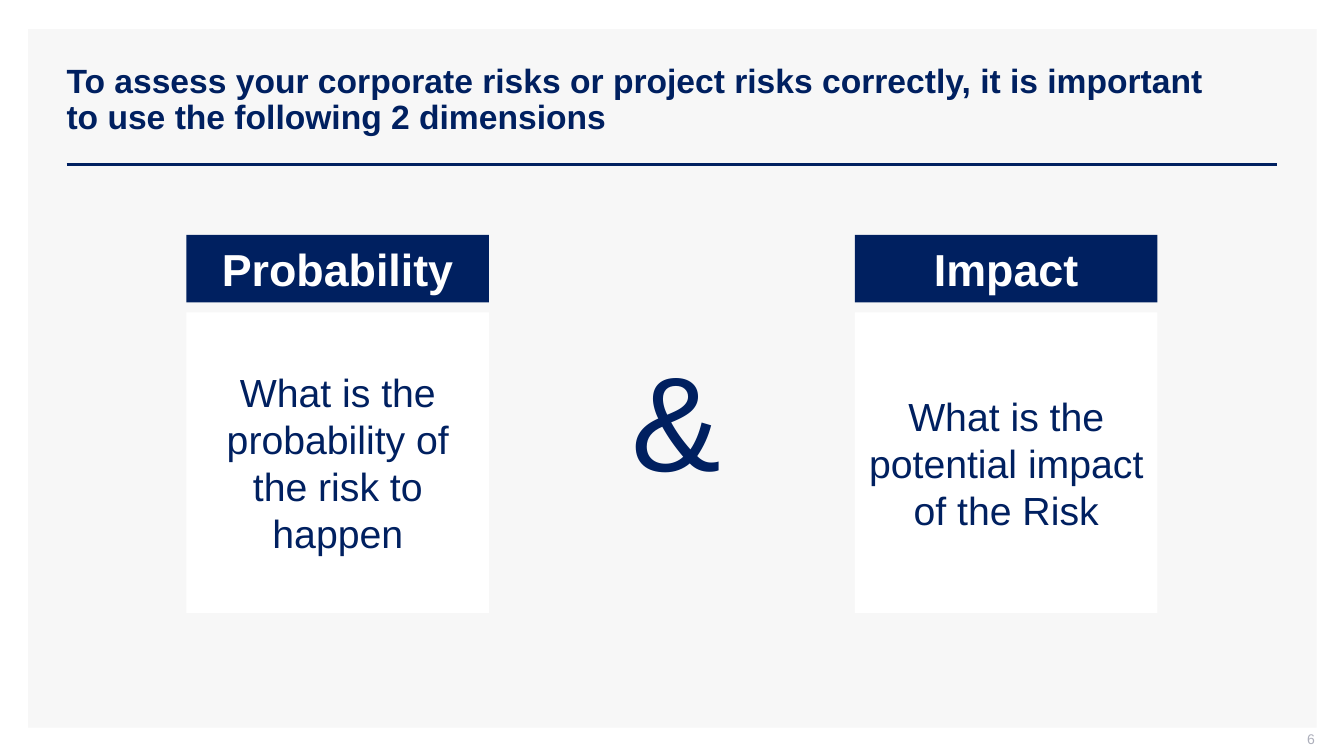
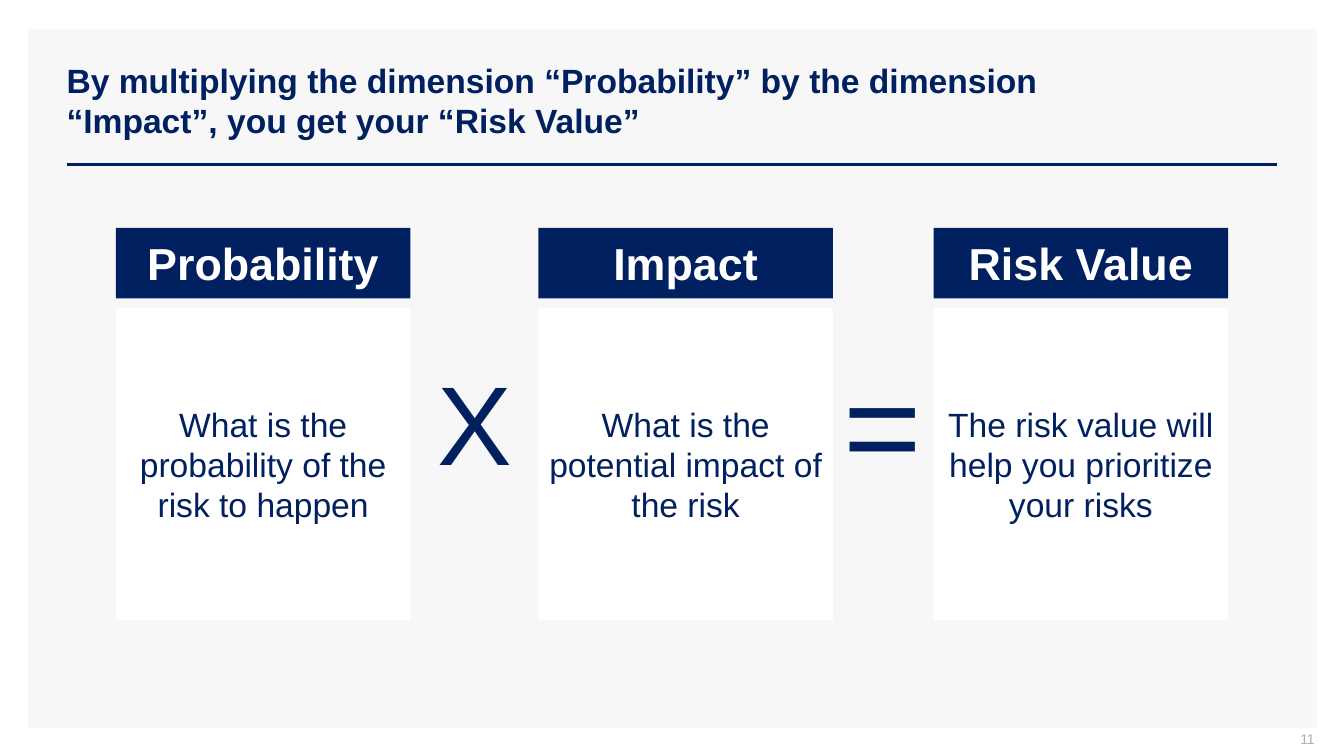
from lxml import etree
from pptx import Presentation
from pptx.dml.color import RGBColor
from pptx.enum.shapes import MSO_CONNECTOR, MSO_SHAPE
from pptx.enum.text import MSO_ANCHOR, MSO_AUTO_SIZE, PP_ALIGN
from pptx.oxml.ns import qn
from pptx.util import Emu, Pt

RECTANGLE, STRAIGHT = MSO_SHAPE.RECTANGLE, MSO_CONNECTOR.STRAIGHT
TOP, MIDDLE = MSO_ANCHOR.TOP, MSO_ANCHOR.MIDDLE
LEFT, CENTER, RIGHT = PP_ALIGN.LEFT, PP_ALIGN.CENTER, PP_ALIGN.RIGHT
NO_FIT = MSO_AUTO_SIZE.NONE
TITLE_ONLY = 5

EMU_PER_PX = 9144  # 100 px to the inch
FONT = "Arial"
COLORS = {"navy": "002060", "panel": "F7F7F7", "white": "FFFFFF", "grey": "ADAFBB"}
CARD_GAP = 10

# Cards are (left, heading, question); operators are (sign, size, left, top, width, height)
SLIDES = [
    {
        "title": "To assess your corporate risks or project risks correctly, "
                 "it is important to use the following 2 dimensions",
        "title_width": 1181, "title_spacing": 0.9, "number": "6",
        "card_top": 233, "card_width": 300, "heading_height": 67,
        "question_height": 298, "question_size": 28,
        "cards": [
            (185, "Probability", "What is the probability of the risk to happen"),
            (848, "Impact", "What is the potential impact of the Risk"),
        ],
        "operators": [("&", 96, 541, 329, 260, 198)],
    },
    {
        "title": "By multiplying the dimension “Probability” by the dimension "
                 "“Impact”, you get your “Risk Value”",
        "title_width": 1142, "title_spacing": 1.0, "number": "11",
        "card_top": 226, "card_width": 292, "heading_height": 70,
        "question_height": 309, "question_size": 24,
        "cards": [
            (115, "Probability", "What is the probability of the risk to happen"),
            (534, "Impact", "What is the potential impact of the risk"),
            (926, "Risk Value", "The risk value will help you prioritize your risks"),
        ],
        "operators": [("X", 80, 336, 346, 269, 145), ("=", 96, 741, 332, 269, 172)],
    },
]


def px(*lengths):
    return [Emu(length * EMU_PER_PX) for length in lengths]


def color(name):
    return RGBColor.from_string(COLORS[name])


def write(box, text, size, color_name, bold=False, align=CENTER, anchor=MIDDLE):
    frame = box.text_frame
    frame.word_wrap = True
    frame.auto_size = NO_FIT
    frame.vertical_anchor = anchor
    para = frame.paragraphs[0]
    para.alignment = align
    span = para.add_run()
    span.text = text
    span.font.name = FONT
    span.font.size = Pt(size)
    span.font.bold = bold
    span.font.color.rgb = color(color_name)
    return frame


def add_block(page, place, fill):
    block = page.shapes.add_shape(RECTANGLE, *px(*place))
    block.shadow.inherit = False
    block.fill.solid()
    block.fill.fore_color.rgb = color(fill)
    block.line.fill.background()
    return block


def add_text(page, place, *args, **style):
    return write(page.shapes.add_textbox(*px(*place)), *args, **style)


def dress_layout(layout, page):
    """Draw the panel and the title rule, then move both behind the layout's placeholders."""
    panel = add_block(page, (28, 29, 1278, 693), "panel")
    rule = page.shapes.add_connector(STRAIGHT, *px(66, 163, 1267, 163))
    rule.line.color.rgb = color("navy")
    rule.line.width = Pt(2)
    etree.SubElement(rule._element.spPr, qn("a:effectLst"))
    for position, shape in enumerate((panel, rule), start=2):
        layout.shapes._spTree.insert(position, shape._element)


def add_title(page, content):
    title = page.shapes.title
    title.left, title.top, title.width, title.height = px(56, 40, content["title_width"], 119)
    frame = write(title, content["title"], 24, "navy", bold=True, align=LEFT)
    frame.paragraphs[0].line_spacing = content["title_spacing"]


def add_number(page, number):
    frame = add_text(page, (1004, 725, 300, 21), number, 10, "grey", align=RIGHT)
    frame.margin_left, frame.margin_top, frame.margin_right, frame.margin_bottom = px(10, 0, 0, 5)


def add_cards(page, content):
    top, width = content["card_top"], content["card_width"]
    heading_height = content["heading_height"]
    question_top = top + heading_height + CARD_GAP
    for left, heading, question in content["cards"]:
        box = add_block(page, (left, top, width, heading_height), "navy")
        write(box, heading, 32, "white", bold=True)
        box = add_block(page, (left, question_top, width, content["question_height"]), "white")
        write(box, question, content["question_size"], "navy")


def main():
    deck = Presentation()
    deck.slide_width, deck.slide_height = px(1333, 750)
    layout = deck.slide_layouts[TITLE_ONLY]
    for index, content in enumerate(SLIDES):
        page = deck.slides.add_slide(layout)
        if index == 0:
            dress_layout(layout, page)
        add_title(page, content)
        add_number(page, content["number"])
        add_cards(page, content)
        for sign, size, *place in content["operators"]:
            add_text(page, place, sign, size, "navy", anchor=TOP)
    deck.save("out.pptx")


if __name__ == "__main__":
    main()
